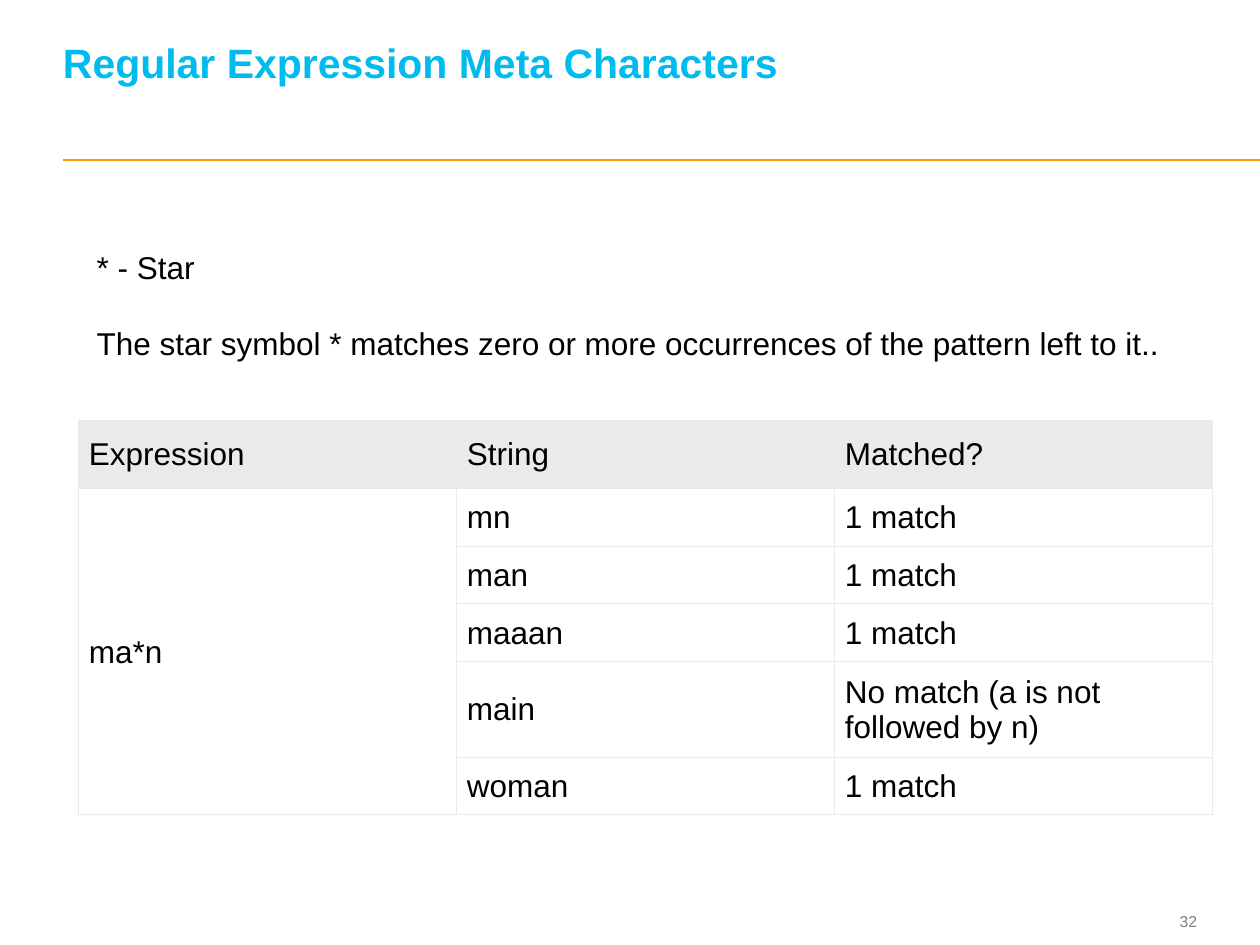
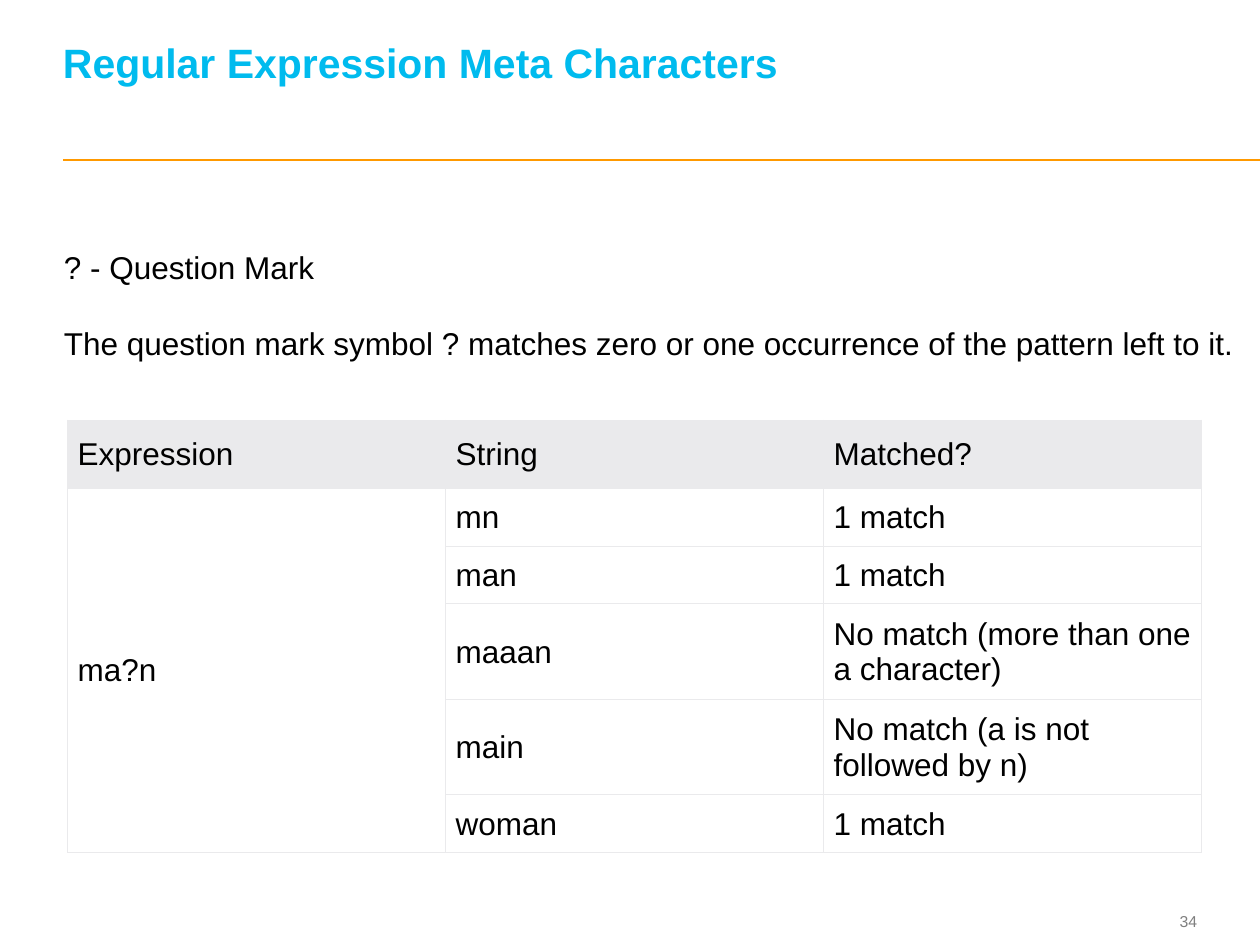
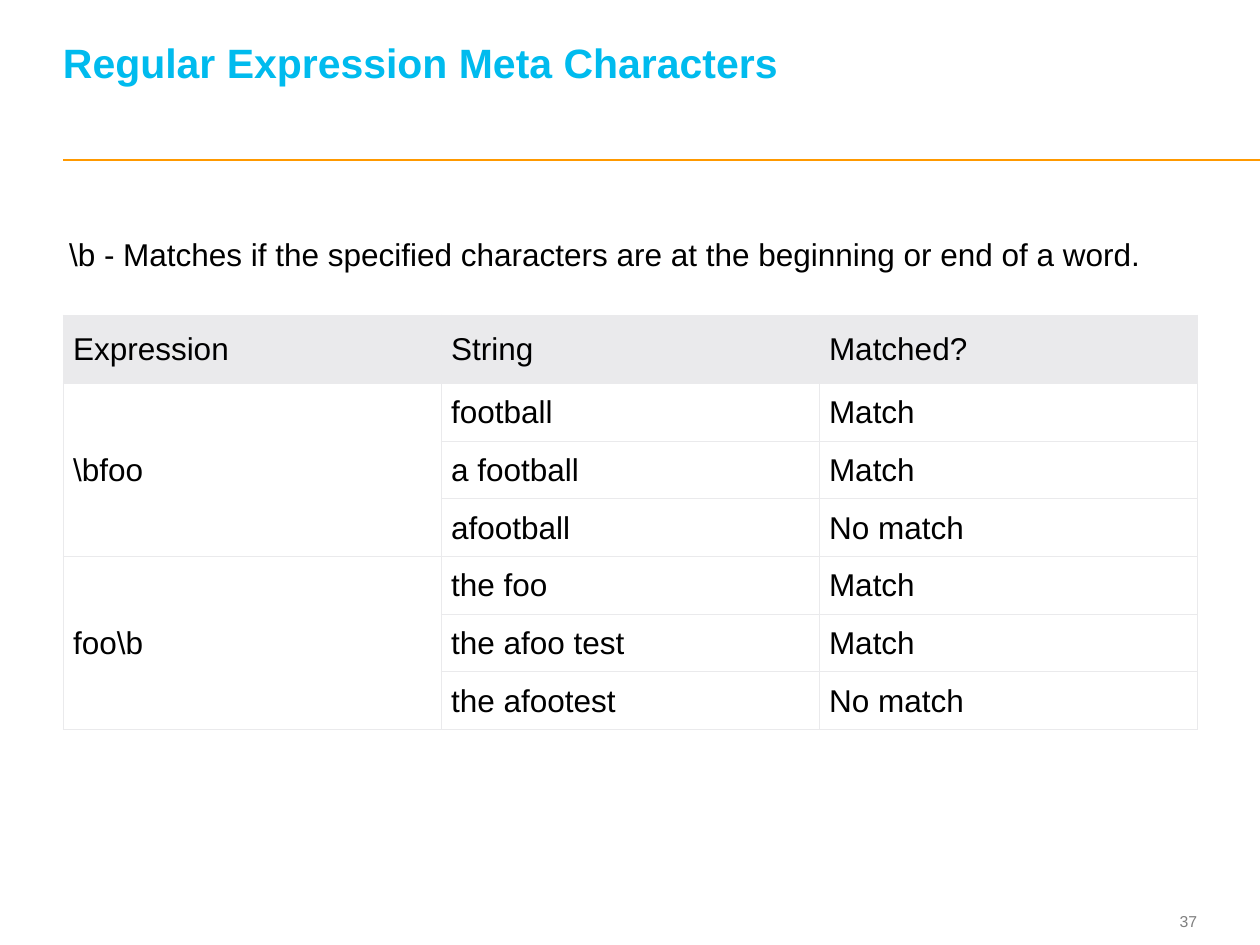
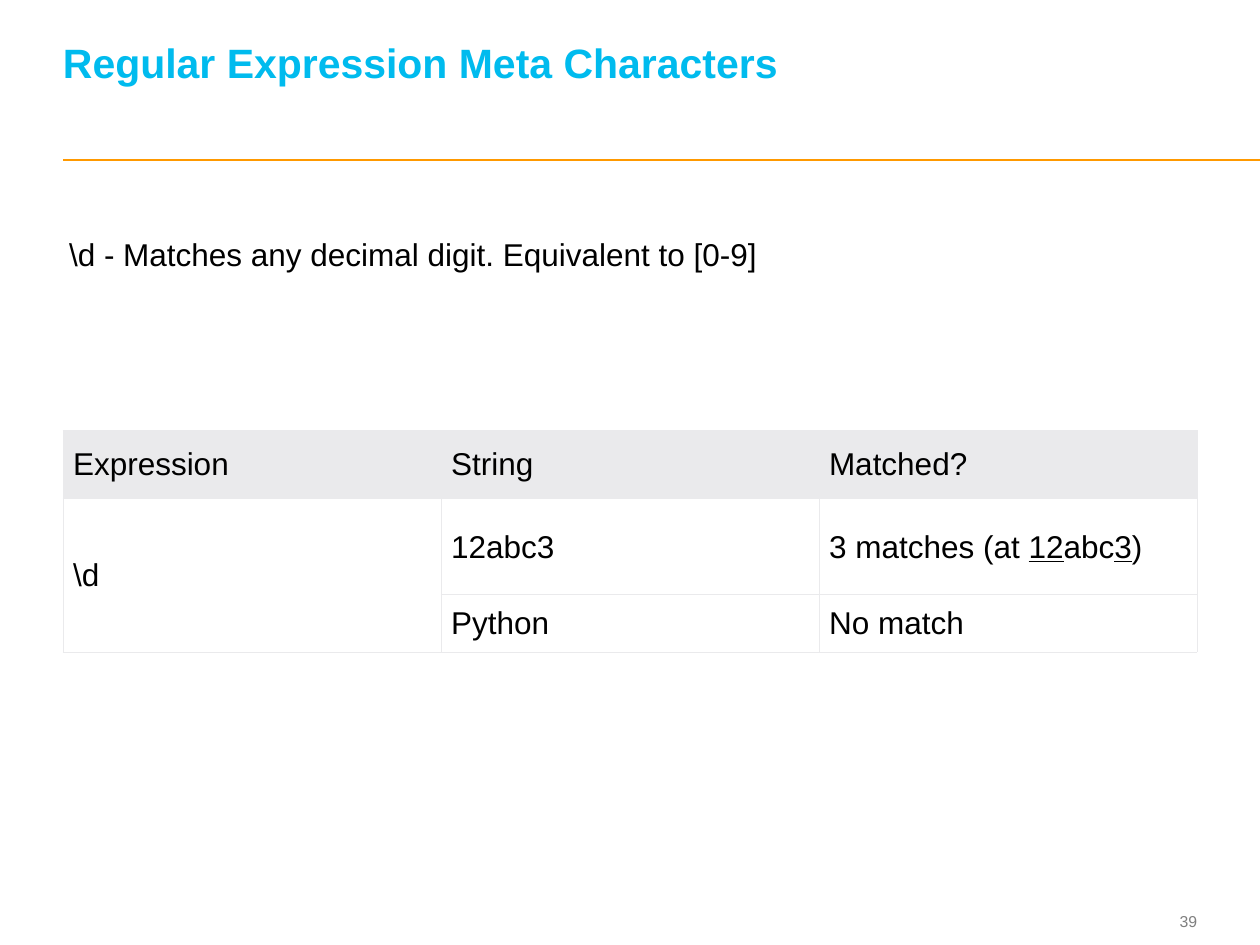
from dataclasses import dataclass

from lxml.etree import SubElement
from pptx import Presentation
from pptx.dml.color import RGBColor
from pptx.enum.shapes import MSO_CONNECTOR
from pptx.enum.text import MSO_ANCHOR, PP_ALIGN
from pptx.oxml.ns import qn
from pptx.util import Pt


@dataclass(frozen=True)
class Theme:
    """Colours, type sizes and measures shared by all slides."""

    font: str = "Arial"
    title_color: str = "00BBEE"
    rule_color: str = "FF9900"
    number_color: str = "7F7F7F"
    text_color: str = "000000"
    grid_color: str = "EAEAEC"
    body_color: str = "FFFFFF"
    title_size: float = 23.4
    text_size: float = 18
    number_size: float = 9
    grid_width: float = 0.6
    column_width: float = 216
    header_height: float = 39
    row_height: float = 33
    tall_row_height: float = 54.6
    line_characters: int = 24


THEME = Theme()
SLIDE_WIDTH, SLIDE_HEIGHT = 720, 540
TITLE = "Regular Expression Meta Characters"
TITLE_BOX = (36, 13.68, 645.84, 61.92)
NUMBER_BOX = (641.5, 517, 42.5, 19.4)
RULE_LEFT, RULE_TOP = 36, 91.3
HEADINGS = ("Expression", "String", "Matched?")
NO_INSETS = (0, 0, 0, 0)
TEXT_INSETS = (7.2, 3.6, 7.2, 3.6)
HEADER_INSETS = (5.76, 8.64, 5.04, 8.64)
BODY_INSETS = (5.76, 5.76, 5.04, 5.04)

SLIDES = [
    {
        "number": "32",
        "lines": ["* - Star", "The star symbol * matches zero or more occurrences of the pattern left to it.."],
        "text_box": (48.2, 138.2, 627.8, 72.7),
        "table_corner": (45, 240),
        "groups": {
            "ma*n": [
                ("mn", "1 match"),
                ("man", "1 match"),
                ("maaan", "1 match"),
                ("main", "No match (a is not followed by n)"),
                ("woman", "1 match"),
            ]
        },
    },
    {
        "number": "34",
        "lines": ["? - Question Mark", "The question mark symbol ? matches zero or one occurrence of the pattern left to it."],
        "text_box": (29.5, 138.2, 689, 72.7),
        "table_corner": (38.6, 240),
        "groups": {
            "ma?n": [
                ("mn", "1 match"),
                ("man", "1 match"),
                ("maaan", "No match (more than one a character)"),
                ("main", "No match (a is not followed by n)"),
                ("woman", "1 match"),
            ]
        },
    },
    {
        "number": "37",
        "lines": ["\\b - Matches if the specified characters are at the beginning or end of a word."],
        "text_box": (32.4, 131, 666.7, 29),
        "table_corner": (36, 180),
        "groups": {
            "\\bfoo": [("football", "Match"), ("a football", "Match"), ("afootball", "No match")],
            "foo\\b": [("the foo", "Match"), ("the afoo test", "Match"), ("the afootest", "No match")],
        },
    },
    {
        "number": "39",
        "lines": ["\\d - Matches any decimal digit. Equivalent to [0-9]"],
        "text_box": (32.4, 131, 666.7, 29),
        "table_corner": (36, 246),
        "groups": {"\\d": [("12abc3", "3 matches (at _12_abc_3_)"), ("Python", "No match")]},
    },
]


def apply_format(target, values):
    """Set every attribute named in values on the target."""
    for name, value in values.items():
        setattr(target, name, value)


def inset_format(insets):
    """Return margin values for left, top, right and bottom insets."""
    names = ("margin_left", "margin_top", "margin_right", "margin_bottom")
    return {name: Pt(inset) for name, inset in zip(names, insets)}


def add_runs(paragraph, text, size, color, bold=False):
    """Write text into the paragraph, underlining parts between underscores."""
    for index, part in enumerate(text.split("_")):
        run = paragraph.add_run()
        run.text = part
        values = {"name": THEME.font, "size": Pt(size), "bold": bold, "underline": index % 2 == 1}
        apply_format(run.font, values)
        run.font.color.rgb = RGBColor.from_string(color)


def add_text(slide, box, lines, size, color, bold=False, insets=NO_INSETS, anchor=MSO_ANCHOR.TOP, paragraph_format=None, gap=0):
    """Add a wrapped text box with one paragraph for each line."""
    frame = slide.shapes.add_textbox(*map(Pt, box)).text_frame
    apply_format(frame, {"word_wrap": True, "vertical_anchor": anchor, **inset_format(insets)})
    for index, line in enumerate(lines):
        paragraph = frame.add_paragraph() if index else frame.paragraphs[0]
        apply_format(paragraph, paragraph_format or {})
        if index:
            paragraph.space_before = Pt(gap)
        add_runs(paragraph, line, size, color, bold)


def add_frame(slide, number):
    """Add the rule, page number and title that every slide carries."""
    rule = slide.shapes.add_connector(
        MSO_CONNECTOR.STRAIGHT, Pt(RULE_LEFT), Pt(RULE_TOP), Pt(SLIDE_WIDTH), Pt(RULE_TOP)
    )
    rule.line.width = Pt(1)
    rule.line.color.rgb = RGBColor.from_string(THEME.rule_color)
    SubElement(rule._element.spPr, qn("a:effectLst"))
    add_text(
        slide, NUMBER_BOX, [number], THEME.number_size, THEME.number_color,
        anchor=MSO_ANCHOR.MIDDLE, paragraph_format={"alignment": PP_ALIGN.RIGHT},
    )
    add_text(
        slide, TITLE_BOX, [TITLE], THEME.title_size, THEME.title_color, bold=True,
        insets=(0, 0, 0, 26), anchor=MSO_ANCHOR.BOTTOM, paragraph_format={"line_spacing": Pt(26)},
    )


def add_borders(cell):
    """Draw the grid line on all four sides of a cell."""
    properties = cell._tc.get_or_add_tcPr()
    for side in ("lnL", "lnR", "lnT", "lnB"):
        line = SubElement(properties, qn(f"a:{side}"), w=str(Pt(THEME.grid_width)))
        fill = SubElement(line, qn("a:solidFill"))
        SubElement(fill, qn("a:srgbClr"), val=THEME.grid_color)


def fill_cell(cell, text, fill_color, insets):
    """Write and format one table cell."""
    apply_format(cell, {"vertical_anchor": MSO_ANCHOR.MIDDLE, **inset_format(insets)})
    add_borders(cell)
    cell.fill.solid()
    cell.fill.fore_color.rgb = RGBColor.from_string(fill_color)
    if text:
        add_runs(cell.text_frame.paragraphs[0], text, THEME.text_size, THEME.text_color)


def add_match_table(slide, corner, groups):
    """Add a table of strings and results grouped by expression."""
    rows = [HEADINGS]
    spans = []
    for expression, results in groups.items():
        spans.append((len(rows), len(rows) + len(results) - 1))
        rows += [("" if index else expression, *result) for index, result in enumerate(results)]
    heights = [THEME.header_height] + [
        THEME.tall_row_height if len(row[-1]) > THEME.line_characters else THEME.row_height
        for row in rows[1:]
    ]
    size = (THEME.column_width * len(HEADINGS), sum(heights))
    table = slide.shapes.add_table(len(rows), len(HEADINGS), *map(Pt, corner + size)).table
    apply_format(table, {"first_row": False, "horz_banding": False})
    for column in table.columns:
        column.width = Pt(THEME.column_width)
    for row_index, (row, height) in enumerate(zip(rows, heights)):
        table.rows[row_index].height = Pt(height)
        look = (THEME.body_color, BODY_INSETS) if row_index else (THEME.grid_color, HEADER_INSETS)
        for column_index, text in enumerate(row):
            fill_cell(table.cell(row_index, column_index), text, *look)
    for first, last in spans:
        table.cell(first, 0).merge(table.cell(last, 0))


def add_character_slide(presentation, content):
    """Add one slide that explains a meta character."""
    slide = presentation.slides.add_slide(presentation.slide_layouts[6])
    add_frame(slide, content["number"])
    add_text(
        slide, content["text_box"], content["lines"], THEME.text_size, THEME.text_color,
        insets=TEXT_INSETS, gap=22,
    )
    add_match_table(slide, content["table_corner"], content["groups"])


def main():
    """Build and save the presentation."""
    presentation = Presentation()
    apply_format(presentation, {"slide_width": Pt(SLIDE_WIDTH), "slide_height": Pt(SLIDE_HEIGHT)})
    for content in SLIDES:
        add_character_slide(presentation, content)
    presentation.save("out.pptx")


if __name__ == "__main__":
    main()
